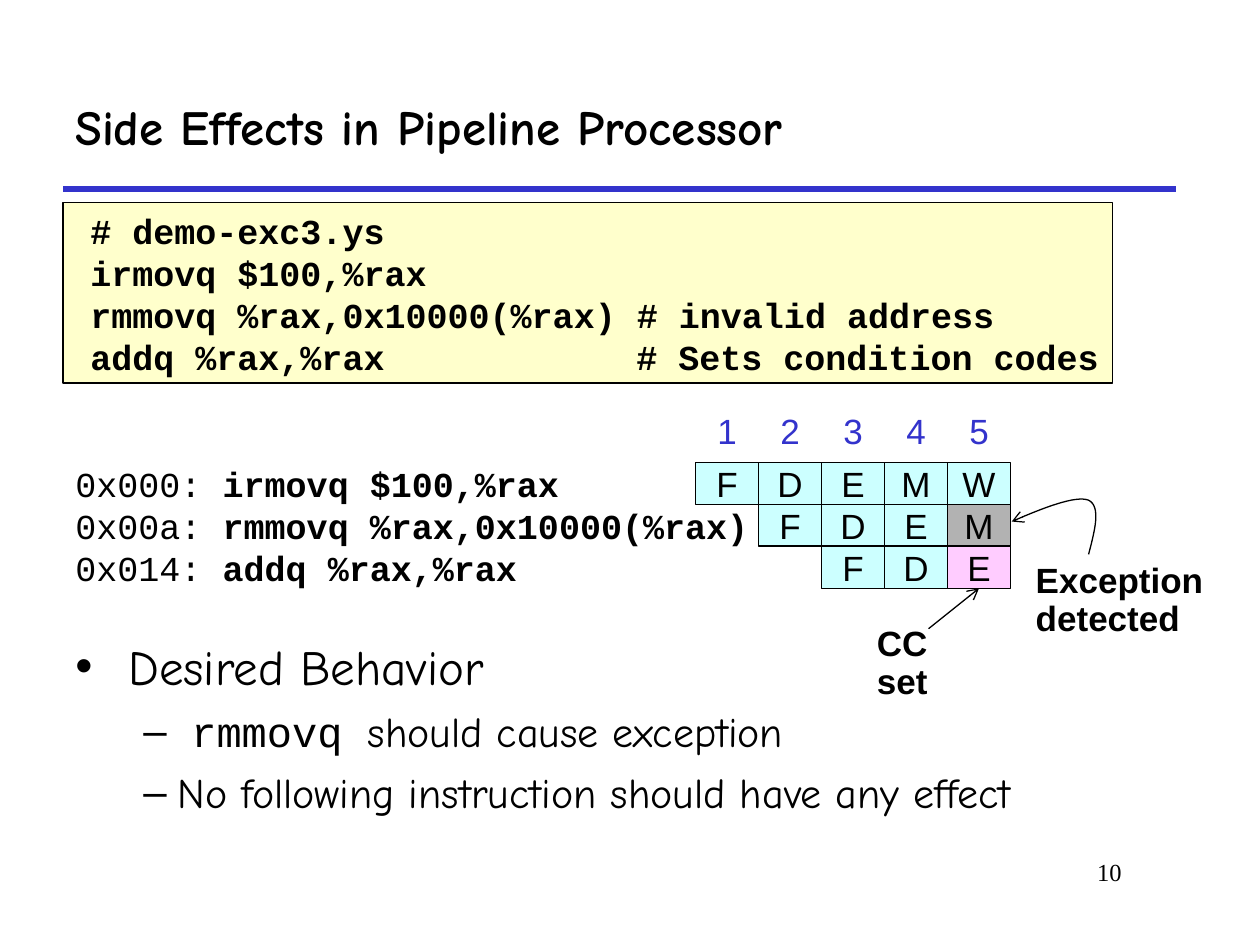
from lxml import etree
from pptx import Presentation
from pptx.dml.color import RGBColor
from pptx.enum.shapes import MSO_CONNECTOR as Connector, MSO_SHAPE as Shape
from pptx.enum.text import MSO_ANCHOR as Anchor, PP_ALIGN as Align
from pptx.oxml.ns import qn
from pptx.util import Inches, Pt

BLACK = RGBColor(0x00, 0x00, 0x00)
WHITE = RGBColor(0xFF, 0xFF, 0xFF)
BLUE = RGBColor(0x33, 0x33, 0xCC)
CODE_FILL = RGBColor(0xFF, 0xFF, 0xCC)
STAGE_FILL = RGBColor(0xCC, 0xFF, 0xFF)
EXCEPTION_FILL = RGBColor(0xB2, 0xB2, 0xB2)
CC_FILL = RGBColor(0xFF, 0xCC, 0xFF)

HEADING_FONT = "Comic Neue"
CODE_FONT = "Courier New"
LABEL_FONT = "Arial"

# Pipeline grid
GRID_LEFT, GRID_TOP = 5.52, 3.67
STAGE_WIDTH, ROW_HEIGHT = 0.5, 1 / 3
CYCLES = 5

CODE = [
    " # demo-exc3.ys",
    " irmovq $100,%rax",
    " rmmovq %rax,0x10000(%rax) # invalid address",
    " addq %rax,%rax\t# Sets condition codes",
]
PIPELINE = [
    ("0x000: ", "irmovq $100,%rax", "FDEMW", STAGE_FILL),
    ("0x00a: ", "rmmovq %rax,0x10000(%rax)", "FDEM", EXCEPTION_FILL),
    ("0x014: ", "addq %rax,%rax", "FDE", CC_FILL),
]


def write(paragraph, text, font=LABEL_FONT, size=20, color=BLACK, bold=False,
          align=Align.LEFT, spacing=None):
    paragraph.alignment = align
    if spacing:
        paragraph.line_spacing = spacing
    run = paragraph.add_run()
    run.text = text
    run.font.name = font
    run.font.size = Pt(size)
    run.font.color.rgb = color
    run.font.bold = bold


def set_frame(shape, anchor, wrap, inset=None):
    frame = shape.text_frame
    frame.word_wrap = wrap
    frame.vertical_anchor = anchor
    if inset is not None:
        frame.margin_left = frame.margin_right = Inches(inset)
        frame.margin_top = frame.margin_bottom = Inches(inset)
    return frame


def add_text_box(slide, left, top, width, height, anchor=Anchor.TOP, wrap=True, inset=None):
    box = slide.shapes.add_textbox(Inches(left), Inches(top), Inches(width), Inches(height))
    return set_frame(box, anchor, wrap, inset)


def add_box(slide, left, top, width, height, fill, line_width=None,
            anchor=Anchor.MIDDLE, wrap=False, inset=None):
    box = slide.shapes.add_shape(
        Shape.RECTANGLE, Inches(left), Inches(top), Inches(width), Inches(height))
    box.shadow.inherit = False
    box.fill.solid()
    box.fill.fore_color.rgb = fill
    if line_width:
        box.line.color.rgb = BLACK
        box.line.width = Pt(line_width)
    else:
        box.line.fill.background()
    return set_frame(box, anchor, wrap, inset)


def style_line(shape, color, width, arrow=False):
    shape.line.color.rgb = color
    shape.line.width = Pt(width)
    if arrow:
        etree.SubElement(shape.line._get_or_add_ln(), qn("a:tailEnd"), type="arrow")


def add_line(slide, start, end, color, width, arrow=False):
    line = slide.shapes.add_connector(
        Connector.STRAIGHT, *(Inches(value) for value in (*start, *end)))
    style_line(line, color, width, arrow)
    etree.SubElement(line._element.spPr, qn("a:effectLst"))


def curve_points(start, control_1, control_2, end, steps=16):
    for step in range(1, steps + 1):
        t = step / steps
        weights = ((1 - t) ** 3, 3 * t * (1 - t) ** 2, 3 * t * t * (1 - t), t ** 3)
        yield tuple(
            Inches(sum(weight * value for weight, value in zip(weights, values)))
            for values in zip(start, control_1, control_2, end))


def add_curved_arrow(slide, *curves):
    start_x, start_y = curves[0][0]
    builder = slide.shapes.build_freeform(Inches(start_x), Inches(start_y))
    for curve in curves:
        builder.add_line_segments(list(curve_points(*curve)), close=False)
    arrow = builder.convert_to_shape()
    arrow.shadow.inherit = False
    arrow.fill.background()
    style_line(arrow, BLACK, 0.75, arrow=True)


def add_bullet(paragraph, mark, left, hanging, space_before=0):
    properties = paragraph._p.get_or_add_pPr()
    properties.set("marL", str(Inches(left)))
    properties.set("indent", str(-Inches(hanging)))
    etree.SubElement(properties, qn("a:buFont"), typeface=LABEL_FONT)
    etree.SubElement(properties, qn("a:buChar"), char=mark)
    paragraph.space_before = Pt(space_before)


def add_code_listing(slide):
    frame = add_box(slide, 0.5, 1.61, 8.33, 1.43, CODE_FILL, 0.75,
                    anchor=Anchor.TOP, wrap=True, inset=0.05)
    for index, line in enumerate(CODE):
        paragraph = frame.add_paragraph() if index else frame.paragraphs[0]
        if "\t" in line:
            tabs = etree.SubElement(paragraph._p.get_or_add_pPr(), qn("a:tabLst"))
            etree.SubElement(tabs, qn("a:tab"), pos=str(Inches(4.5)), algn="l")
        write(paragraph, line, font=CODE_FONT, bold=True)


def add_pipeline(slide):
    # Cycle numbers
    for cycle in range(CYCLES):
        number = add_box(slide, GRID_LEFT + cycle * STAGE_WIDTH, 3.25,
                         STAGE_WIDTH, ROW_HEIGHT, WHITE)
        write(number.paragraphs[0], str(cycle + 1), color=BLUE, align=Align.CENTER)

    # Each instruction starts one cycle later than the one above
    for row, (address, instruction, stages, last_fill) in enumerate(PIPELINE):
        top = GRID_TOP + row * ROW_HEIGHT
        label = add_box(slide, 0.5, top, 2.84, ROW_HEIGHT, WHITE).paragraphs[0]
        write(label, address, font=CODE_FONT)
        write(label, instruction, font=CODE_FONT, bold=True)
        for cycle, stage in enumerate(stages, start=row):
            fill = last_fill if cycle == CYCLES - 1 else STAGE_FILL
            cell = add_box(slide, GRID_LEFT + cycle * STAGE_WIDTH, top,
                           STAGE_WIDTH, ROW_HEIGHT, fill, 1)
            write(cell.paragraphs[0], stage, align=Align.CENTER)


def add_callouts(slide):
    exception = add_text_box(slide, 8.17, 4.42, 1.58, 0.7, inset=0.05)
    write(exception.paragraphs[0], "Exception detected", bold=True, spacing=0.9)
    add_curved_arrow(
        slide,
        ((8.64, 4.4), (8.69, 4.21), (8.74, 4.02), (8.64, 3.97)),
        ((8.64, 3.97), (8.54, 3.93), (8.28, 4.03), (8.03, 4.14)))

    cc_set = add_text_box(slide, 6.67, 4.92, 0.98, 0.4, wrap=False, inset=0.05)
    write(cc_set.paragraphs[0], "CC set", bold=True, align=Align.CENTER, spacing=0.9)
    add_line(slide, (7.37, 4.99), (7.77, 4.67), BLACK, 0.75, arrow=True)


def add_desired_behavior(slide):
    frame = add_text_box(slide, 0.5, 5, 9.08, 1.75)
    heading = frame.paragraphs[0]
    add_bullet(heading, "•", 0.42, 0.42)
    write(heading, "Desired Behavior", font=HEADING_FONT, size=28)

    cause = frame.add_paragraph()
    cause.level = 1
    add_bullet(cause, "–", 0.92, 0.38, space_before=6)
    write(cause, "rmmovq ", font=CODE_FONT, size=24)
    write(cause, "should cause exception", font=HEADING_FONT, size=24)

    effect = frame.add_paragraph()
    effect.level = 1
    add_bullet(effect, "–", 0.81, 0.27, space_before=6)
    write(effect, "No following instruction should have any effect",
          font=HEADING_FONT, size=24)


def main():
    deck = Presentation()
    deck.slide_width, deck.slide_height = Inches(10), Inches(7.5)
    slide = deck.slides.add_slide(deck.slide_layouts[6])

    # Title, rule and page number
    add_line(slide, (0.5, 1.5), (9.33, 1.5), BLUE, 3)
    page = add_text_box(slide, 7.58, 6.75, 1.42, 0.5)
    write(page.paragraphs[0], "10", font="Times New Roman", size=14, align=Align.RIGHT)
    title = add_text_box(slide, 0.5, 0.5, 8.83, 1, anchor=Anchor.MIDDLE)
    write(title.paragraphs[0], "Side Effects in Pipeline Processor",
          font=HEADING_FONT, size=28, bold=True)

    # Content
    add_desired_behavior(slide)
    add_code_listing(slide)
    add_pipeline(slide)
    add_callouts(slide)
    deck.save("out.pptx")


if __name__ == "__main__":
    main()
